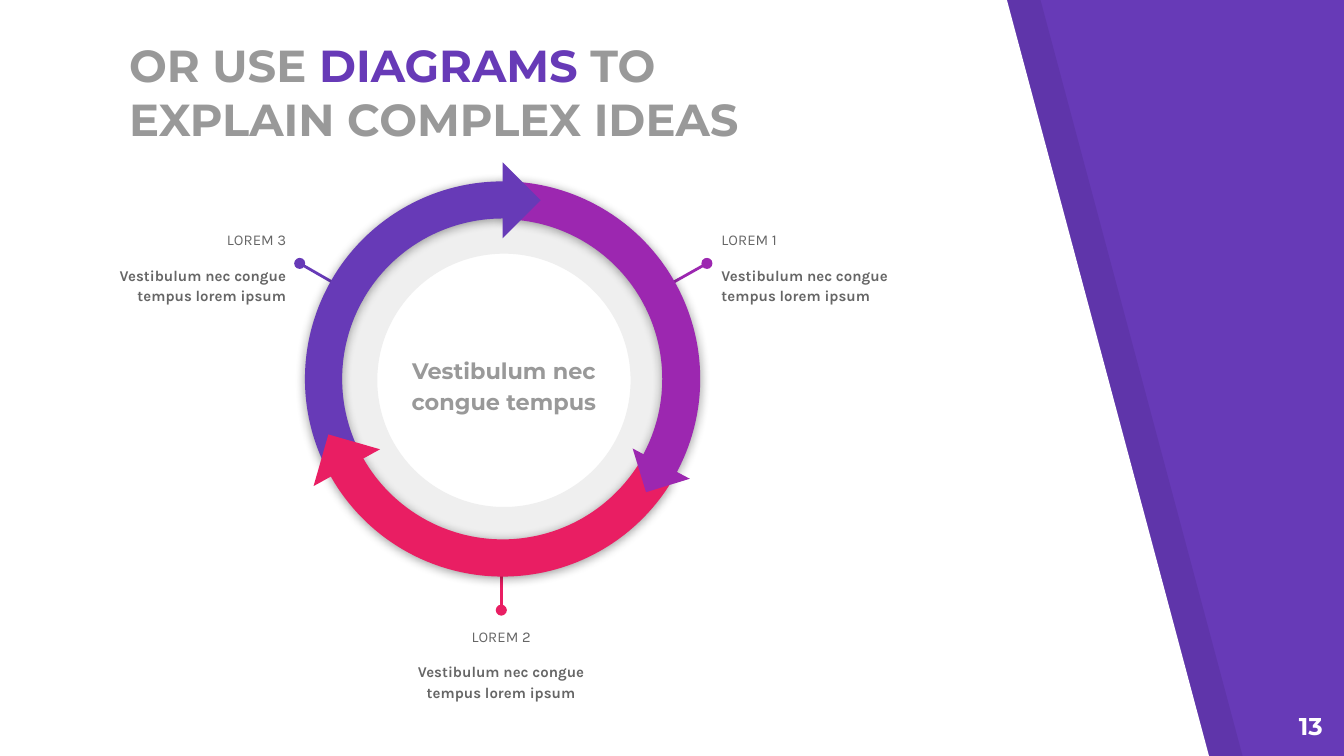
from lxml import etree
from pptx import Presentation
from pptx.dml.color import RGBColor
from pptx.enum.shapes import MSO_CONNECTOR, MSO_SHAPE
from pptx.enum.text import MSO_ANCHOR, MSO_AUTO_SIZE, PP_ALIGN
from pptx.oxml.ns import qn
from pptx.util import Inches, Pt

LEFT, CENTER, RIGHT = PP_ALIGN.LEFT, PP_ALIGN.CENTER, PP_ALIGN.RIGHT
TOP, MIDDLE, BOTTOM = MSO_ANCHOR.TOP, MSO_ANCHOR.MIDDLE, MSO_ANCHOR.BOTTOM
ARC, TRIANGLE, DONUT = MSO_SHAPE.BLOCK_ARC, MSO_SHAPE.RIGHT_TRIANGLE, MSO_SHAPE.DONUT

VIOLET, PURPLE, PINK = "673AB7", "9C27B0", "E91E63"
WHITE, BLACK, PALE, GRAY, DARK = "FFFFFF", "000000", "EFEFEF", "999999", "666666"

TITLE = [("OR USE ", GRAY), ("DIAGRAMS", VIOLET), (" TO EXPLAIN COMPLEX IDEAS", GRAY)]
CENTER_TEXT = "Vestibulum nec congue tempus"
PAGE_NUMBER = "13"
BODY = "Vestibulum nec congue tempus lorem ipsum"

CALLOUTS = [
    ("LOREM 3", VIOLET, (2.23, 1.96), (2.7, 2.23), (0.59, 1.6), RIGHT),
    ("LOREM 1", PURPLE, (5.26, 1.96), (4.78, 2.23), (5.27, 1.6), LEFT),
    ("LOREM 2", PINK, (3.73, 4.54), (3.73, 4.03), (2.91, 4.55), CENTER),
]
CALLOUT_SIZE = (1.64, 0.73)

RING_BOX = (2.27, 1.35, 2.94, 2.94)
RING_PARTS = [
    (ARC, RING_BOX, PURPLE, 30, False, (144.144, 0.007, 0.096)),
    (ARC, RING_BOX, VIOLET, 330, True, (143.486, 214.729, 0.094)),
    (TRIANGLE, (3.54, 1.29, 0.4, 0.4), VIOLET, 225, False, ()),
    (ARC, RING_BOX, PINK, 210, True, (143.162, 215.027, 0.094)),
    (TRIANGLE, (4.75, 3.28, 0.34, 0.34), PURPLE, 342.9, False, ()),
    (TRIANGLE, (2.38, 3.28, 0.4, 0.4), PINK, 106, False, ()),
]


def rgb(color):
    return RGBColor.from_string(color)


def paint(shape, color, opacity=None):
    shape.shadow.inherit = False
    shape.fill.solid()
    shape.fill.fore_color.rgb = rgb(color)
    shape.line.fill.background()
    if opacity is not None:
        add_alpha(shape._element.spPr.find(".//" + qn("a:srgbClr")), opacity)


def add_alpha(color_element, percent):
    etree.SubElement(color_element, qn("a:alpha"), val=str(percent * 1000))


def add_shadow(shape):
    effects = shape._element.spPr.find(qn("a:effectLst"))
    shadow = etree.SubElement(
        effects, qn("a:outerShdw"), blurRad=str(Pt(5.6)), dist=str(Pt(0.8)),
        dir="5400000", algn="bl", rotWithShape="0")
    add_alpha(etree.SubElement(shadow, qn("a:srgbClr"), val=BLACK), 40)


def write(paragraph, text, font="Montserrat", size=12, color=GRAY, bold=True,
          align=LEFT, spacing=1.0, before=0):
    paragraph.alignment = align
    paragraph.line_spacing = spacing
    paragraph.space_before = Pt(before)
    run = paragraph.add_run()
    run.text = text
    run.font.name = font
    run.font.size = Pt(size)
    run.font.bold = bold
    run.font.color.rgb = rgb(color)


def prepare_frame(shape, anchor=TOP):
    frame = shape.text_frame
    frame.word_wrap = True
    frame.auto_size = MSO_AUTO_SIZE.NONE
    frame.vertical_anchor = anchor
    frame.margin_left = frame.margin_right = Inches(0.1)
    frame.margin_top = frame.margin_bottom = Inches(0.1)
    return frame


def add_frame(slide, box, anchor=TOP):
    return prepare_frame(slide.shapes.add_textbox(*map(Inches, box)), anchor)


def add_panel(slide, offset, color, opacity=None):
    points = [(0, -0.01), (0, 5.64), (9, 5.64), (7.49, -0.01)]
    corners = [(Inches(x + offset), Inches(y)) for x, y in points]
    builder = slide.shapes.build_freeform(*corners[0])
    builder.add_line_segments(corners[1:], close=True)
    paint(builder.convert_to_shape(), color, opacity)


def add_part(slide, kind, box, color, rotation=0, flipped=False, adjustments=()):
    shape = slide.shapes.add_shape(kind, *map(Inches, box))
    paint(shape, color)
    shape.rotation = rotation
    if flipped:
        shape._element.spPr.find(qn("a:xfrm")).set("flipH", "1")
    for index, value in enumerate(adjustments):
        shape.adjustments[index] = value
    if kind == ARC:
        add_shadow(shape)


def add_callout(slide, label, color, dot, ring_point, corner, align):
    connector = slide.shapes.add_connector(
        MSO_CONNECTOR.STRAIGHT, *map(Inches, dot + ring_point))
    connector.line.color.rgb = rgb(color)
    connector.line.width = Pt(1.5)
    etree.SubElement(connector.line._get_or_add_ln(), qn("a:headEnd"), type="oval")
    etree.SubElement(connector._element.spPr, qn("a:effectLst"))
    frame = add_frame(slide, corner + CALLOUT_SIZE)
    style = dict(font="Karla", size=8, color=DARK, align=align, spacing=1.15)
    write(frame.paragraphs[0], label, bold=False, **style)
    write(frame.add_paragraph(), BODY, before=8, **style)


def main():
    presentation = Presentation()
    presentation.slide_width = Inches(10)
    presentation.slide_height = Inches(10) * 9 // 16
    slide = presentation.slides.add_slide(presentation.slide_layouts[5])
    slide.background.fill.solid()
    slide.background.fill.fore_color.rgb = rgb(VIOLET)

    add_panel(slide, 0.25, BLACK, opacity=7)
    add_panel(slide, 0, WHITE)

    title = slide.shapes.title
    title.left, title.top, title.width, title.height = map(Inches, (0.86, 0.73, 5.25, 0.45))
    slide.shapes._spTree.append(title._element)
    title_paragraph = prepare_frame(title, BOTTOM).paragraphs[0]
    for text, color in TITLE:
        write(title_paragraph, text, size=24, color=color)

    number_frame = add_frame(slide, (9.34, 5.19, 0.6, 0.43))
    write(number_frame.paragraphs[0], PAGE_NUMBER, size=13, color=WHITE, align=RIGHT)

    add_part(slide, DONUT, (2.36, 1.44, 2.78, 2.78), PALE, adjustments=(0.161,))
    for callout in CALLOUTS:
        add_callout(slide, *callout)
    center_frame = add_frame(slide, (2.96, 2.42, 1.58, 0.88), MIDDLE)
    write(center_frame.paragraphs[0], CENTER_TEXT, align=CENTER, spacing=1.15)
    for part in RING_PARTS:
        add_part(slide, *part)

    presentation.save("out.pptx")


if __name__ == "__main__":
    main()
